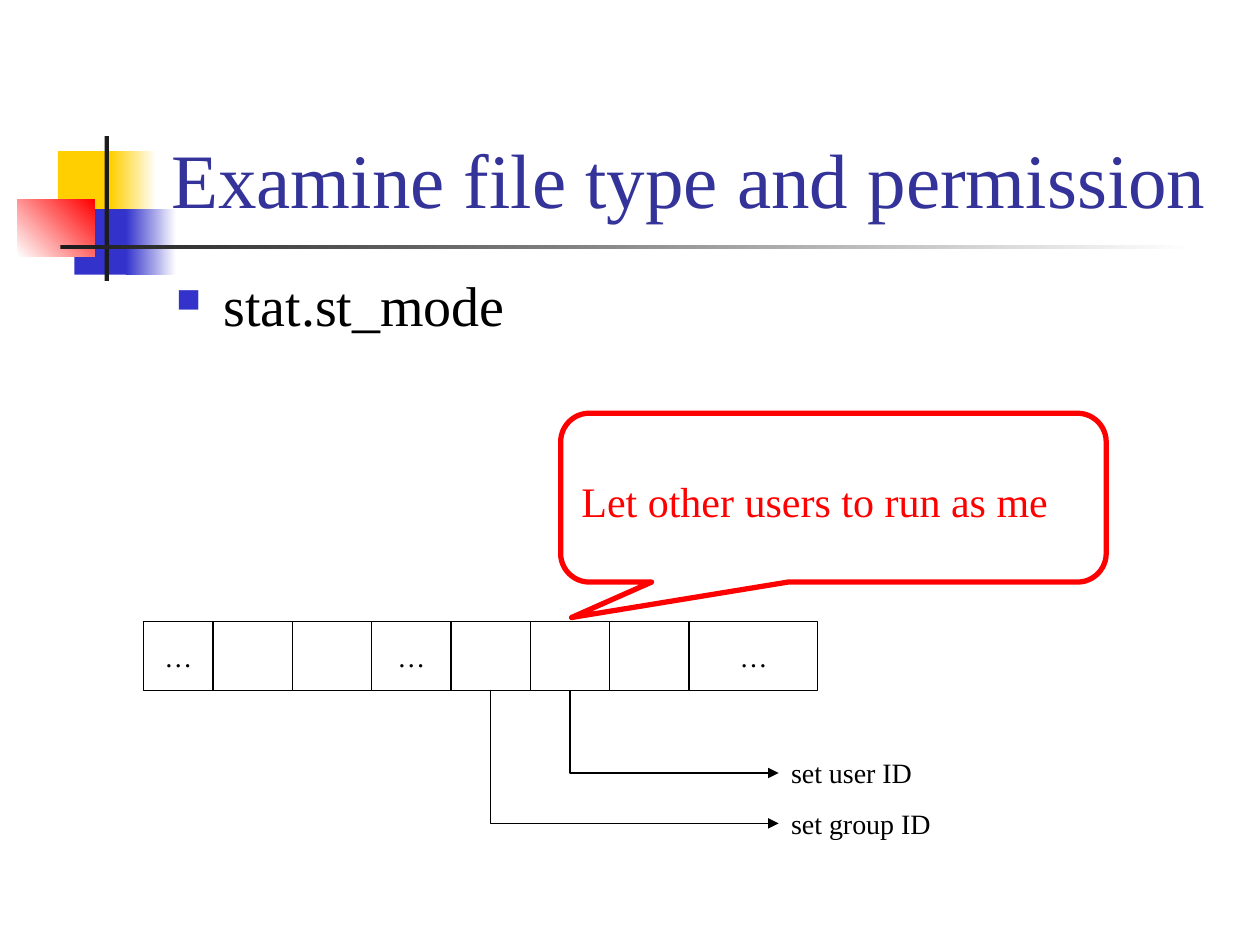
import pptx
import pptx.util
import pptx.dml.color
import pptx.enum.shapes
import pptx.enum.text
import pptx.oxml
import pptx.oxml.ns

SHAPE = pptx.enum.shapes.MSO_SHAPE
ANCHOR = pptx.enum.text.MSO_ANCHOR
ALIGN = pptx.enum.text.PP_ALIGN
AUTOSIZE = pptx.enum.text.MSO_AUTO_SIZE
COLUMNS, ROWS = 100, 75


def color(value):
    return pptx.dml.color.RGBColor.from_string(value)


def assign(target, values):
    for name, value in values.items():
        setattr(target, name, value)


def append_xml(parent, tag, attributes=""):
    namespace = pptx.oxml.ns.nsdecls("a")
    parent.append(pptx.oxml.parse_xml(f"<a:{tag} {namespace} {attributes}/>"))
    return parent[-1]


class Painter:
    font = "Times New Roman"
    ink = "000000"

    def __init__(self, deck):
        self.deck = deck
        self.page = deck.slides.add_slide(deck.slide_layouts[5])

    def across(self, columns):
        return round(self.deck.slide_width * columns / COLUMNS)

    def down(self, rows):
        return round(self.deck.slide_height * rows / ROWS)

    def area(self, left, top, width, height):
        return self.across(left), self.down(top), self.across(width), self.down(height)

    def fill_text(self, box, text, size, ink=ink, frame_format=None, para_format=None):
        frame = box.text_frame
        assign(frame, frame_format or {})
        para = frame.paragraphs[0]
        assign(para, {"alignment": ALIGN.LEFT, **(para_format or {})})
        span = para.add_run()
        span.text = text
        assign(span.font, {"name": self.font, "size": pptx.util.Pt(size)})
        span.font.color.rgb = color(ink)
        return para

    def title(self, text, place, size, ink):
        box = self.page.shapes.title
        assign(box, dict(zip(("left", "top", "width", "height"), self.area(*place))))
        self.fill_text(box, text, size, ink, {
            "vertical_anchor": ANCHOR.BOTTOM, "word_wrap": True, "auto_size": AUTOSIZE.NONE})

    def label(self, text, place, size, wrap=False, para_format=None):
        box = self.page.shapes.add_textbox(*self.area(*place))
        return self.fill_text(box, text, size, frame_format={"word_wrap": wrap}, para_format=para_format)

    def bullet(self, text, place, size, ink):
        para = self.label(text, place, size, True, {"space_before": pptx.util.Pt(size * 0.2)})
        settings = para._p.get_or_add_pPr()
        indent = self.across(3.75)
        settings.set("marL", str(indent))
        settings.set("indent", str(-indent))
        append_xml(append_xml(settings, "buClr"), "srgbClr", f'val="{ink}"')
        append_xml(settings, "buSzPct", 'val="60000"')
        append_xml(settings, "buChar", 'char="■"')

    def shape(self, kind, place, fill=None, fade=None, angle=0, line=None, weight=0.75):
        box = self.page.shapes.add_shape(kind, *self.area(*place))
        box.shadow.inherit = False
        if fade:
            box.fill.gradient()
            box.fill.gradient_angle = angle
            for stop, value in zip(box.fill.gradient_stops, (fill, fade)):
                stop.color.rgb = color(value)
        elif fill:
            box.fill.solid()
            box.fill.fore_color.rgb = color(fill)
        else:
            box.fill.background()
        if line:
            box.line.color.rgb = color(line)
            box.line.width = pptx.util.Pt(weight)
        else:
            box.line.fill.background()
        return box

    def elbow_arrow(self, start, end):
        (left, top), (right, bottom) = start, end
        middle, center = (left + right) / 2, (top + bottom) / 2
        half_run, half_drop = (right - left) / 2, (bottom - top) / 2
        arrow = self.page.shapes.add_connector(
            pptx.enum.shapes.MSO_CONNECTOR.ELBOW,
            self.across(middle + half_drop), self.down(center - half_run),
            self.across(middle - half_drop), self.down(center + half_run))
        settings = arrow._element.spPr
        settings.find(pptx.oxml.ns.qn("a:xfrm")).set("rot", str(270 * 60000))
        settings.find(pptx.oxml.ns.qn("a:prstGeom")).set("prst", "bentConnector2")
        arrow.line.color.rgb = color(self.ink)
        arrow.line.width = pptx.util.Pt(0.75)
        append_xml(settings.find(pptx.oxml.ns.qn("a:ln")), "tailEnd", 'type="triangle"')
        append_xml(settings, "effectLst")


deck = pptx.Presentation()
assign(deck, {"slide_width": pptx.util.Inches(10), "slide_height": pptx.util.Inches(7.5)})
painter = Painter(deck)

YELLOW, BLUE, RED, DARK, WHITE = "FFCF01", "3333CC", "FF0000", "1C1C1C", "FFFFFF"
ornaments = [
    ((4.6, 12, 4.8, 5.2), YELLOW, None, 0),
    ((8.8, 12, 3.6, 5.2), YELLOW, WHITE, 0),
    ((5.9, 16.6, 4.6, 5.2), BLUE, None, 0),
    ((10, 16.6, 4, 5.2), BLUE, WHITE, 0),
    ((1.4, 15.8, 6.1, 4.6), WHITE, RED, 45),
    ((8.3, 10.8, 0.35, 11.5), DARK, None, 0),
    ((4.8, 19.45, 90, 0.35), DARK, WHITE, 0),
]
for place, fill, fade, angle in ornaments:
    painter.shape(SHAPE.RECTANGLE, place, fill, fade, angle)

painter.title("Examine file type and permission", (12.6, 2.3, 85.2, 16), 44, "333399")
painter.bullet("stat.st_mode", (13, 21, 85, 8.7), 32, BLUE)

BITS_TOP, BITS_HEIGHT, BIT = 49.3, 5.5, 6.3
bits = [(5.5, "…"), (BIT, ""), (BIT, ""), (BIT, "…"), (BIT, ""), (BIT, ""), (BIT, ""), (10.2, "…")]
centers = []
left = 11.4
for width, text in bits:
    cell = painter.shape(SHAPE.RECTANGLE, (left, BITS_TOP, width, BITS_HEIGHT), line=painter.ink)
    if text:
        painter.fill_text(cell, text, 16,
                          frame_format={"vertical_anchor": ANCHOR.MIDDLE, "word_wrap": False},
                          para_format={"alignment": ALIGN.CENTER})
    centers.append(left + width / 2)
    left += width

LABEL_LEFT, LABEL_HEIGHT = 61.8, 3.7
for text, bit, top, width in [("set user ID", 5, 59.5, 11.7), ("set group ID", 4, 63.5, 13.1)]:
    painter.label(text, (LABEL_LEFT, top, width, LABEL_HEIGHT), 16)
    painter.elbow_arrow((centers[bit], BITS_TOP + BITS_HEIGHT),
                        (LABEL_LEFT, top + LABEL_HEIGHT / 2))

callout = painter.shape(SHAPE.ROUNDED_RECTANGULAR_CALLOUT, (44.5, 32.8, 43.3, 13.4), line=RED, weight=3)
for index, value in enumerate((-0.48, 0.71, 0.17)):
    callout.adjustments[index] = value
painter.fill_text(callout, "Let other users to run as me", 24, RED, {
    "vertical_anchor": ANCHOR.TOP, "word_wrap": True, "margin_top": painter.down(4.3)})

deck.save("out.pptx")
